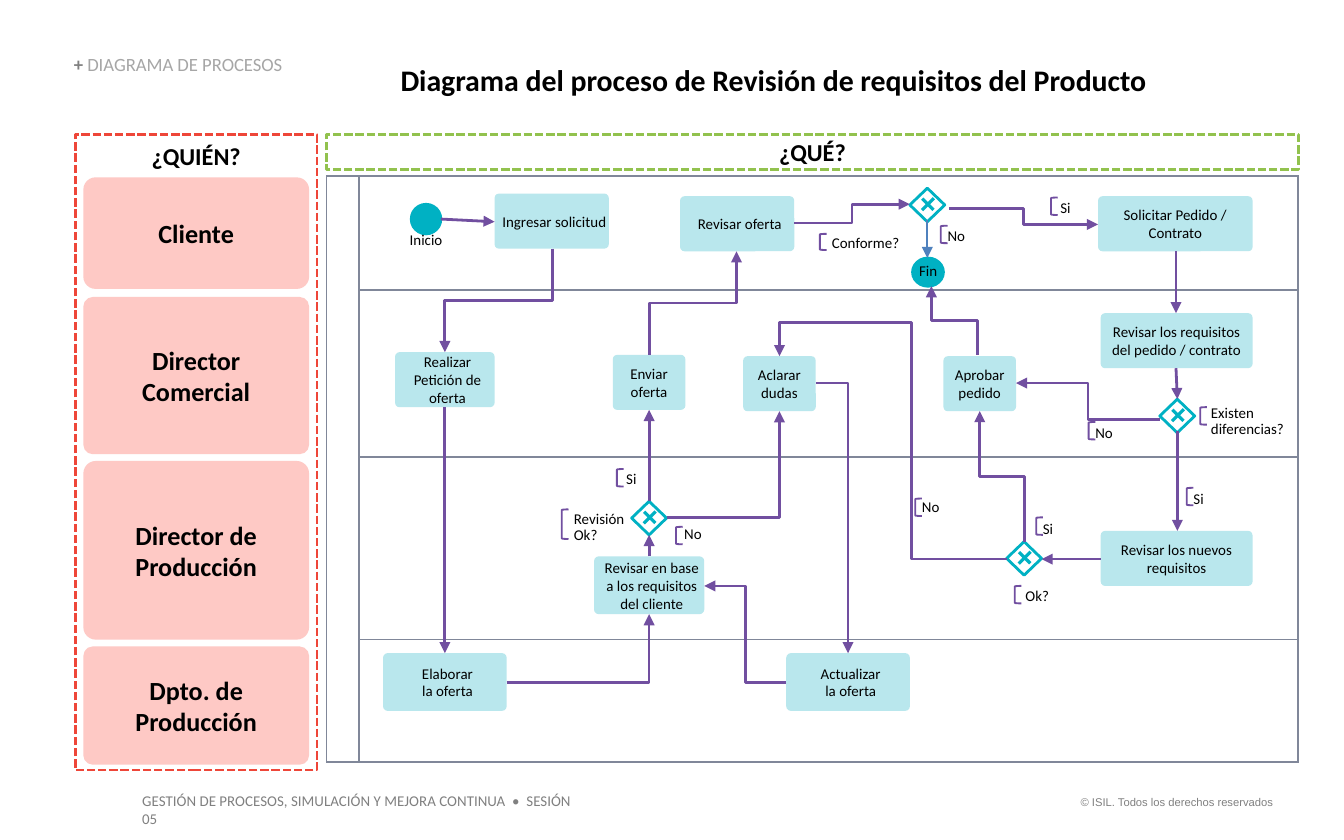
import dataclasses

import pptx
import pptx.dml.color
import pptx.enum.dml
import pptx.enum.shapes
import pptx.enum.text
import pptx.oxml.ns
import pptx.util
from lxml import etree

PX = 9144  # 100 px to the inch
SHAPE = pptx.enum.shapes.MSO_SHAPE
CONNECTOR = pptx.enum.shapes.MSO_CONNECTOR
ALIGN = pptx.enum.text.PP_ALIGN
ANCHOR = pptx.enum.text.MSO_ANCHOR
HEADINGS = ["right", "down", "left", "up"]
qn = pptx.oxml.ns.qn


@dataclasses.dataclass(frozen=True)
class Theme:
    font: str = "Calibri"
    legal_font: str = "Arial"
    ink: str = "000000"
    grey: str = "808080"
    pale_grey: str = "A6A6A6"
    white: str = "FFFFFF"
    grid: str = "808799"
    step: str = "B9E7ED"
    teal: str = "00B1C3"
    flow: str = "714FA0"
    end_flow: str = "4F81BD"
    role: str = "FEC9C5"
    who: str = "EE4639"
    what: str = "92C24E"
    title_size: int = 16
    role_size: int = 14
    header_size: int = 13
    section_size: int = 10
    small_size: int = 8
    legal_size: int = 6


@dataclasses.dataclass(frozen=True)
class Box:
    left: int
    top: int
    width: int
    height: int

    def inner(self, x, y, width, height):
        return Box(self.left + x, self.top + y, width, height)

    def emu(self):
        return [PX * v for v in (self.left, self.top, self.width, self.height)]


THEME = Theme()


def rgb(code):
    return pptx.dml.color.RGBColor.from_string(code)


def write(frame, text, size, color=THEME.ink, bold=False, align=ALIGN.LEFT,
          anchor=ANCHOR.TOP, insets=(10, 5, 10, 5), wrap=True, spacing=None, font=THEME.font):
    frame.text = text
    frame.word_wrap = wrap
    frame.auto_size = pptx.enum.text.MSO_AUTO_SIZE.NONE
    frame.vertical_anchor = anchor
    frame.margin_left, frame.margin_top, frame.margin_right, frame.margin_bottom = [
        PX * inset for inset in insets]
    for paragraph in frame.paragraphs:
        paragraph.alignment = align
        paragraph.line_spacing = spacing
        paragraph.font.name = font
        paragraph.font.size = pptx.util.Pt(size)
        paragraph.font.bold = bold
        paragraph.font.color.rgb = rgb(color)


def label(slide, box, text, size=THEME.small_size, **style):
    frame = slide.shapes.add_textbox(*box.emu()).text_frame
    write(frame, text, size, **style)
    return frame


def draw(slide, kind, box, fill=None, line=None, width=1.5, corner=None, dash=False):
    shape = slide.shapes.add_shape(kind, *box.emu())
    shape.shadow.inherit = False
    if fill:
        shape.fill.solid()
        shape.fill.fore_color.rgb = rgb(fill)
    else:
        shape.fill.background()
    if line:
        shape.line.color.rgb = rgb(line)
        shape.line.width = pptx.util.Pt(width)
        if dash:
            shape.line.dash_style = pptx.enum.dml.MSO_LINE.SQUARE_DOT
    else:
        shape.line.fill.background()
    if corner is not None:
        shape.adjustments[0] = corner
    return shape


def finish_arrow(arrow, color, width):
    arrow.line.color.rgb = rgb(color)
    arrow.line.width = pptx.util.Pt(width)
    properties = arrow._element.spPr
    etree.SubElement(properties.find(qn("a:ln")), qn("a:tailEnd"), type="triangle")
    etree.SubElement(properties, qn("a:effectLst"))


def straight(slide, box, x1, y1, x2, y2, color=THEME.flow, width=1.5):
    ends = [PX * v for v in (box.left + x1, box.top + y1, box.left + x2, box.top + y2)]
    finish_arrow(slide.shapes.add_connector(CONNECTOR.STRAIGHT, *ends), color, width)


def elbow(slide, box, x1, y1, x2, y2, heading, legs, bends=()):
    """Draw an elbow heading right, then turn it about its centre to its real heading."""
    dx, dy = x2 - x1, y2 - y1
    turn = HEADINGS.index(heading)
    along, across = [(dx, dy), (dy, -dx), (-dx, -dy), (-dy, dx)][turn]
    middle_x, middle_y = 2 * box.left + x1 + x2, 2 * box.top + y1 + y2
    ends = [PX * v // 2 for v in (middle_x - along, middle_y - across,
                                  middle_x + along, middle_y + across)]
    arrow = slide.shapes.add_connector(CONNECTOR.ELBOW, *ends)
    arrow.rotation = 90 * turn
    geometry = arrow._element.spPr.find(qn("a:prstGeom"))
    geometry.set("prst", f"bentConnector{legs}")
    for number, bend in enumerate(bends, 1):
        etree.SubElement(geometry.find(qn("a:avLst")), qn("a:gd"),
                         name=f"adj{number}", fmla=f"val {bend}")
    finish_arrow(arrow, THEME.flow, 1.5)


def heading(slide, box):
    title = slide.shapes.title
    title.left, title.top, title.width, title.height = box.inner(233, 0, 583, 37).emu()
    write(title.text_frame, "Diagrama del proceso de Revisión de requisitos del Producto",
          THEME.title_size, bold=True, wrap=False)
    section = label(slide, box.inner(0, 0, 266, 15), "+ ", THEME.section_size, bold=True,
                    color=THEME.grey, anchor=ANCHOR.BOTTOM, insets=(0,) * 4, spacing=0.9)
    name = section.paragraphs[0].add_run()
    name.text = "DIAGRAMA DE PROCESOS"
    name.font.bold = False
    name.font.color.rgb = rgb(THEME.pale_grey)


def who_column(slide, box):
    frame = draw(slide, SHAPE.RECTANGLE, box, line=THEME.who, dash=True)
    write(frame.text_frame, "¿QUIÉN?", THEME.header_size, bold=True, align=ALIGN.CENTER)
    for role, top, height, corner in [
            ("Cliente", 32, 83, 0.11), ("Director Comercial", 121, 117, 0.06),
            ("Director de Producción", 243, 133, 0.07), ("Dpto. de Producción", 381, 88, 0.08)]:
        card = draw(slide, SHAPE.ROUNDED_RECTANGLE, box.inner(6, top, 168, height),
                    fill=THEME.role, corner=corner)
        write(card.text_frame, role, THEME.role_size, bold=True,
              align=ALIGN.CENTER, anchor=ANCHOR.MIDDLE)


def what_header(slide, box):
    band = draw(slide, SHAPE.RECTANGLE, box, line=THEME.what, dash=True)
    write(band.text_frame, "¿QUÉ?", THEME.header_size, bold=True,
          align=ALIGN.CENTER, anchor=ANCHOR.MIDDLE)


def lanes(slide, box):
    heights = [85, 124, 136, 91]
    pool = slide.shapes.add_table(len(heights), 2, *box.emu()).table
    pool.first_row = pool.horz_banding = False
    pool.columns[0].width, pool.columns[1].width = 24 * PX, (box.width - 24) * PX
    for row, height in zip(pool.rows, heights):
        row.height = height * PX
    for cell in pool.iter_cells():
        properties = cell._tc.get_or_add_tcPr()
        for side in ("a:lnL", "a:lnR", "a:lnT", "a:lnB"):
            border = etree.SubElement(properties, qn(side), w=str(pptx.util.Pt(1)))
            paint = etree.SubElement(border, qn("a:solidFill"))
            etree.SubElement(paint, qn("a:srgbClr"), val=THEME.grid)
        cell.fill.solid()
        cell.fill.fore_color.rgb = rgb(THEME.white)
    pool.cell(0, 0).merge(pool.cell(len(heights) - 1, 0))


def activities(slide, box):
    # Steps: text, x, y, width, height, left inset
    for text, x, y, width, height, inset in [
            ("Ingresar solicitud", 125, 13, 85, 41, 4), ("Revisar oferta", 263, 15, 85, 41, 4),
            ("Solicitar Pedido /\vContrato", 574, 15, 115, 41, 0),
            ("Realizar Petición de oferta", 51, 131, 74, 41, 4),
            ("Enviar oferta", 213, 133, 54, 41, 0), ("Aclarar dudas", 310, 134, 54, 41, 0),
            ("Aprobar pedido", 459, 134, 54, 41, 0),
            ("Revisar los requisitos del pedido / contrato", 576, 102, 113, 41, 0),
            ("Revisar en base a los requisitos del cliente", 199, 283, 82, 43, 4),
            ("Revisar los nuevos requisitos", 576, 264, 113, 41, 0),
            ("Elaborar\vla oferta", 42, 355, 92, 43, 4),
            ("Actualizar\vla oferta", 342, 355, 92, 43, 4)]:
        step = draw(slide, SHAPE.ROUNDED_RECTANGLE, box.inner(x, y, width, height),
                    fill=THEME.step, corner=0.08)
        write(step.text_frame, text, THEME.small_size, align=ALIGN.CENTER,
              anchor=ANCHOR.MIDDLE, insets=(inset, 0, 0, 0))
    # Gateways
    for x, y in [(434, 9), (620, 166), (227, 242), (506, 272)]:
        draw(slide, SHAPE.DIAMOND, box.inner(x, y, 26, 25), line=THEME.teal)
        cross = draw(slide, SHAPE.MATH_PLUS, box.inner(x + 5, y + 4, 17, 16),
                     fill=THEME.teal, corner=0.15)
        cross.rotation = 315
    # Start and end events
    for text, circle, caption, wrap in [
            ("Inicio", (63, 21, 22, 22), (52, 36, 45, 24), False),
            ("Fin", (436, 61, 23, 21), (431, 59, 37, 24), True)]:
        draw(slide, SHAPE.OVAL, box.inner(*circle), fill=THEME.teal, line=THEME.teal)
        label(slide, box.inner(*caption), text, wrap=wrap)


def annotations(slide, box):
    # Text, bracket x, y and height, then text offset and width
    for text, x, y, height, dx, dy, width in [
            ("Conforme?", 367, 43, 12, 9, 1, 56), ("No", 457, 37, 13, 5, 2, 22),
            ("Si", 539, 16, 13, 7, 2, 13), ("Existen diferencias?", 650, 172, 13, 8, -1, 59),
            ("No", 567, 183, 13, 5, 3, 26), ("Si", 640, 232, 13, 5, 3, 13),
            ("Si", 216, 218, 13, 7, 2, 13), ("Revisión Ok?", 175, 248, 22, 9, 2, 43),
            ("No", 260, 261, 13, 6, 0, 22), ("No", 438, 240, 13, 5, 1, 26),
            ("Si", 528, 254, 13, 5, 3, 13), ("Ok?", 512, 305, 13, 8, 2, 26)]:
        draw(slide, SHAPE.LEFT_BRACKET, box.inner(x, y, 5, height), line=THEME.flow, width=1)
        label(slide, box.inner(x + dx, y + dy, width, 24 if " " in text else 12), text,
              insets=(0,) * 4, spacing=0.9)


def flows(slide, box):
    for ends in [(85, 32, 125, 34), (632, 56, 632, 102), (632, 143, 633, 166),
                 (633, 190, 633, 264), (576, 285, 532, 285), (88, 172, 88, 355),
                 (240, 283, 240, 267), (240, 242, 240, 174)]:
        straight(slide, box, *ends)
    straight(slide, box, 447, 33, 447, 61, THEME.end_flow, 1)
    for route in [(168, 54, 88, 131, "down", 3), (134, 377, 240, 326, "right", 2),
                  (253, 254, 337, 175, "right", 2), (240, 133, 305, 56, "up", 3),
                  (364, 154, 388, 355, "right", 2), (342, 377, 281, 305, "left", 3),
                  (348, 35, 434, 21, "right", 3), (463, 24, 574, 36, "right", 3),
                  (620, 181, 513, 154, "left", 3), (484, 133, 450, 82, "up", 3),
                  (519, 272, 486, 175, "up", 3),
                  (506, 285, 337, 134, "left", 4, (42000, 116600))]:
        elbow(slide, box, *route)


def footer(slide, box):
    label(slide, box.inner(0, 0, 353, 24),
          "GESTIÓN DE PROCESOS, SIMULACIÓN Y MEJORA CONTINUA  •  SESIÓN 05", color=THEME.grey)
    label(slide, box.inner(692, 3, 169, 20), "© ISIL. Todos los derechos reservados",
          THEME.legal_size, color=THEME.grey, font=THEME.legal_font, align=ALIGN.RIGHT, wrap=False)


def main():
    deck = pptx.Presentation()
    deck.slide_width, deck.slide_height = 1000 * PX, 625 * PX
    slide = deck.slides.add_slide(deck.slide_layouts[5])
    pool = Box(243, 131, 723, 435)
    heading(slide, Box(55, 41, 816, 37))
    who_column(slide, Box(56, 100, 180, 473))
    what_header(slide, Box(243, 100, 723, 26))
    for part in (lanes, activities, flows, annotations):
        part(slide, pool)
    footer(slide, Box(96, 584, 861, 24))
    deck.save("out.pptx")


if __name__ == "__main__":
    main()
